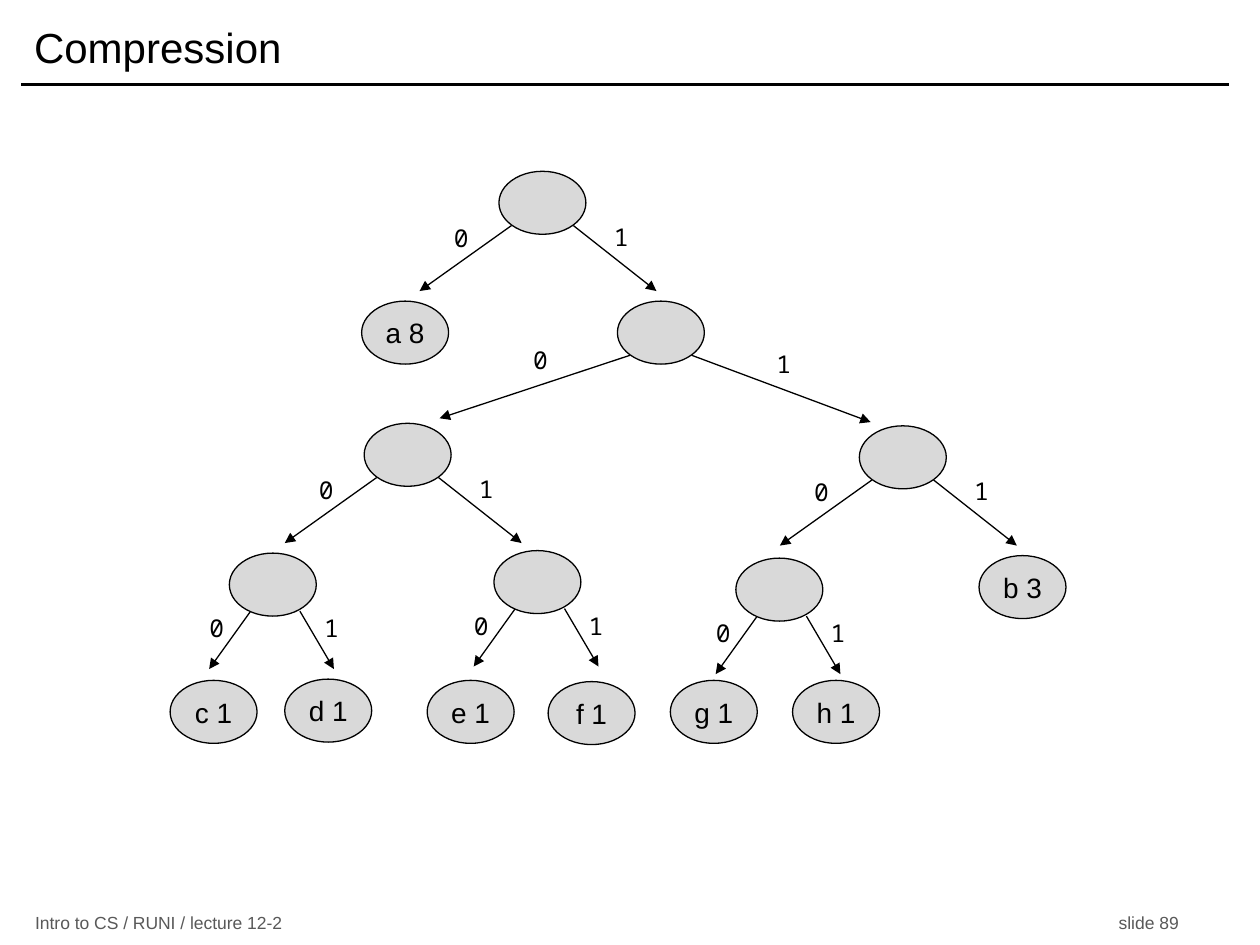
import pptx
import pptx.dml.color
import pptx.enum.shapes
import pptx.enum.text
import pptx.oxml
import pptx.oxml.ns
import pptx.util
from lxml import etree

Inches = pptx.util.Inches
Pt = pptx.util.Pt
ALIGN = pptx.enum.text.PP_ALIGN
MIDDLE = pptx.enum.text.MSO_ANCHOR.MIDDLE

TITLE = "Compression"
FOOTER = "Intro to CS / RUNI / lecture 12-2\tslide 89"
FOOTER_TAB = 8.6
NODE_SIZE = (0.69, 0.5)
LABEL_SIZE = (0.32, 0.34)

LEAVES = [
    ("c 1", 1.35, 5.4), ("d 1", 2.26, 5.39), ("e 1", 3.39, 5.4), ("f 1", 4.35, 5.41),
    ("g 1", 5.32, 5.4), ("h 1", 6.29, 5.4), ("a 8", 2.87, 2.39), ("b 3", 7.77, 4.41),
]

# Each branch: bit, arrow start, arrow end and label corner, relative to its node
BRANCHES = {
    "narrow": [("0", (0.17, 0.46), (-0.16, 0.92), (-0.26, 0.43)),
               ("1", (0.56, 0.46), (0.83, 0.92), (0.65, 0.43))],
    "medium": [("0", (0.1, 0.43), (-0.63, 0.95), (-0.46, 0.36)),
               ("1", (0.59, 0.43), (1.25, 0.95), (0.81, 0.35))],
    "wide": [("0", (0.1, 0.43), (-1.41, 0.93), (-0.77, 0.3)),
             ("1", (0.59, 0.43), (2.01, 0.96), (1.16, 0.33))],
}
INNER_NODES = [
    ("narrow", 5.84, 4.43), ("narrow", 1.82, 4.39), ("narrow", 3.92, 4.37),
    ("medium", 2.89, 3.36), ("medium", 6.82, 3.38), ("wide", 4.9, 2.39), ("medium", 3.96, 1.36),
]


def color(value):
    return pptx.dml.color.RGBColor.from_string(value)


def format_text(shape, size, font="Arial", hex_color="000000", align=ALIGN.CENTER):
    paragraph = shape.text_frame.paragraphs[0]
    paragraph.alignment = align
    for run in paragraph.runs:
        run.font.size = Pt(size)
        run.font.name = font
        run.font.color.rgb = color(hex_color)


def add_line(slide, start, end, width, arrow=False):
    connector = slide.shapes.add_connector(
        pptx.enum.shapes.MSO_CONNECTOR.STRAIGHT, *map(Inches, (*start, *end)))
    connector.line.color.rgb = color("000000")
    connector.line.width = Pt(width)
    if arrow:
        tail = etree.SubElement(connector.line._get_or_add_ln(), pptx.oxml.ns.qn("a:tailEnd"))
        tail.set("type", "triangle")
    etree.SubElement(connector._element.spPr, pptx.oxml.ns.qn("a:effectLst"))


def add_node(slide, left, top, text=""):
    node = slide.shapes.add_shape(
        pptx.enum.shapes.MSO_SHAPE.OVAL, *map(Inches, (left, top, *NODE_SIZE)))
    node.shadow.inherit = False
    node.fill.solid()
    node.fill.fore_color.rgb = color("D9D9D9")
    node.line.color.rgb = color("000000")
    node.line.width = Pt(0.75)
    if text:
        frame = node.text_frame
        frame.margin_left = frame.margin_right = 0
        frame.margin_top = frame.margin_bottom = 0
        frame.word_wrap = False
        frame.vertical_anchor = MIDDLE
        frame.text = text
        format_text(node, 16)


def add_bit(slide, left, top, bit):
    label = slide.shapes.add_textbox(*map(Inches, (left, top, *LABEL_SIZE)))
    label.text_frame.margin_left = label.text_frame.margin_right = 0
    label.text_frame.word_wrap = True
    label.text_frame.text = bit
    format_text(label, 14, "Noto Sans Mono")


def add_branches(slide, left, top, branches):
    for bit, *offsets in branches:
        start, end, corner = [(left + x, top + y) for x, y in offsets]
        add_line(slide, start, end, 0.75, arrow=True)
        add_bit(slide, *corner, bit)


def add_title(slide):
    title = slide.shapes.title
    title.left, title.top, title.width, title.height = map(Inches, (0.17, 0.08, 9.58, 0.58))
    title.text_frame.text = TITLE
    title.text_frame.auto_size = pptx.enum.text.MSO_AUTO_SIZE.NONE
    title.text_frame.vertical_anchor = MIDDLE
    format_text(title, 24, align=ALIGN.LEFT)
    add_line(slide, (0.17, 0.67), (9.75, 0.67), 2)


def add_footer(slide):
    footer = slide.shapes.add_textbox(*map(Inches, (0.18, 7.23, 9.42, 0.19)))
    footer.text_frame.word_wrap = True
    footer.text_frame.vertical_anchor = MIDDLE
    footer.text_frame.text = FOOTER
    properties = footer.text_frame.paragraphs[0]._p.get_or_add_pPr()
    tabs = etree.SubElement(properties, pptx.oxml.ns.qn("a:tabLst"))
    etree.SubElement(tabs, pptx.oxml.ns.qn("a:tab"), pos=str(Inches(FOOTER_TAB)), algn="l")
    format_text(footer, 10, hex_color="595959", align=ALIGN.LEFT)


def main():
    presentation = pptx.Presentation()
    presentation.slide_width, presentation.slide_height = Inches(10), Inches(7.5)
    slide = presentation.slides.add_slide(presentation.slide_layouts[5])
    add_title(slide)
    add_footer(slide)
    for text, left, top in LEAVES:
        add_node(slide, left, top, text)
    for spread, left, top in INNER_NODES:
        add_branches(slide, left, top, BRANCHES[spread])
        add_node(slide, left, top)
    presentation.save("out.pptx")


if __name__ == "__main__":
    main()
